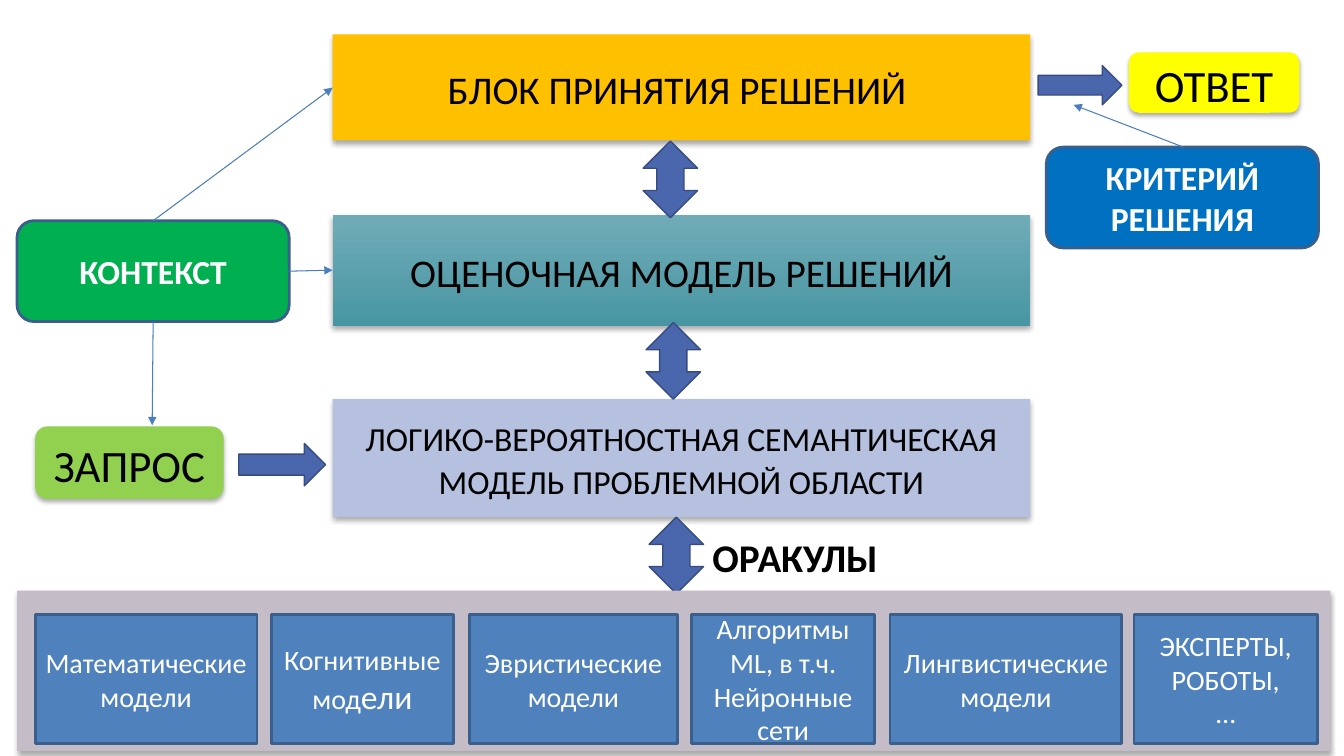
from lxml.etree import SubElement
from pptx import Presentation
from pptx.dml.color import RGBColor
from pptx.enum.shapes import MSO_CONNECTOR, MSO_SHAPE as SHAPE
from pptx.enum.text import MSO_ANCHOR as ANCHOR, MSO_AUTO_SIZE as AUTO, PP_ALIGN as ALIGN
from pptx.oxml import parse_xml
from pptx.oxml.ns import nsdecls, qn
from pptx.util import Pt

COLORS = {
    "black": "000000", "white": "FFFFFF", "orange": "FFC000",
    "teal_top": "70ACB7", "teal_bottom": "4896A3", "lavender": "B5C1DF",
    "lime": "92D050", "yellow": "FFFF00", "green": "00B050",
    "blue": "0070C0", "model": "4F81BD", "model_line": "3A5F8C",
    "arrow": "4A66AC", "arrow_line": "374B7F", "link": "4B7EBC",
    "panel": "C4BCC6",
}
SHADOW = (
    f'<a:effectLst {nsdecls("a")}>'
    '<a:outerShdw blurRad="44450" dist="27940" dir="5400000" rotWithShape="0">'
    '<a:srgbClr val="000000"><a:alpha val="32000"/></a:srgbClr>'
    '</a:outerShdw></a:effectLst>'
)


def rgb(name):
    return RGBColor.from_string(COLORS[name])


class Diagram:
    font = "Calibri"

    def __init__(self, slide):
        self.shapes = slide.shapes

    def style_run(self, r, size, color, bold=False):
        r.font.name = self.font
        r.font.size = Pt(size)
        r.font.bold = bold
        r.font.color.rgb = rgb(color)

    def set_text(self, sp, text, size, color, bold=False, align=ALIGN.CENTER):
        tf = sp.text_frame
        tf.word_wrap = True
        tf.vertical_anchor = ANCHOR.MIDDLE
        tf.text = text
        for p in tf.paragraphs:
            p.alignment = align
            for r in p.runs:
                self.style_run(r, size, color, bold)

    def shape(self, kind, box, fill, line=None, width=1):
        sp = self.shapes.add_shape(kind, *map(Pt, box))
        sp.shadow.inherit = False
        sp.fill.solid()
        sp.fill.fore_color.rgb = rgb(fill)
        if line:
            sp.line.color.rgb = rgb(line)
            sp.line.width = Pt(width)
        else:
            sp.line.fill.background()
        return sp

    def raised(self, kind, box, fill, text=None, size=28):
        sp = self.shape(kind, box, fill)
        props = sp._element.spPr
        props.replace(props.find(qn("a:effectLst")), parse_xml(SHADOW))
        if text:
            self.set_text(sp, text, size, "black")
            p = sp.text_frame.paragraphs[0]
            p.line_spacing = 1.07
            p.space_after = Pt(8)
        return sp

    def outlined(self, kind, box, fill, text, size, bold=False):
        sp = self.shape(kind, box, fill, "model_line", 2)
        self.set_text(sp, text, size, "white", bold)
        return sp

    def block_arrow(self, kind, box):
        self.shape(kind, box, "arrow", "arrow_line")

    def label(self, box, text, size):
        sp = self.shapes.add_textbox(*map(Pt, box))
        self.set_text(sp, text, size, "black", True, ALIGN.LEFT)
        tf = sp.text_frame
        tf.vertical_anchor = ANCHOR.TOP
        tf.word_wrap = False
        tf.auto_size = AUTO.SHAPE_TO_FIT_TEXT

    def link(self, *ends):
        cn = self.shapes.add_connector(MSO_CONNECTOR.STRAIGHT, *map(Pt, ends))
        cn.line.color.rgb = rgb("link")
        cn.line.width = Pt(0.75)
        props = cn._element.spPr
        SubElement(props.find(qn("a:ln")), qn("a:tailEnd"), type="triangle")
        SubElement(props, qn("a:effectLst"))


def main():
    prs = Presentation()
    prs.slide_width, prs.slide_height = Pt(960), Pt(540)
    d = Diagram(prs.slides.add_slide(prs.slide_layouts[6]))

    left, width = 237.6, 498.2
    d.raised(SHAPE.RECTANGLE, (left, 285.2, width, 84.2), "lavender",
             "ЛОГИКО-ВЕРОЯТНОСТНАЯ СЕМАНТИЧЕСКАЯ МОДЕЛЬ ПРОБЛЕМНОЙ ОБЛАСТИ", 24)
    rating = d.raised(SHAPE.RECTANGLE, (left, 153.4, width, 79.2), "teal_top",
                      "ОЦЕНОЧНАЯ МОДЕЛЬ РЕШЕНИЙ")
    rating.fill.gradient()
    rating.fill.gradient_angle = 270
    for stop, color in zip(rating.fill.gradient_stops, ("teal_top", "teal_bottom")):
        stop.color.rgb = rgb(color)
    d.raised(SHAPE.ROUNDED_RECTANGLE, (25.2, 304.6, 134.6, 51.8), "lime", "ЗАПРОС", 32)
    d.raised(SHAPE.ROUNDED_RECTANGLE, (806.4, 37.4, 121.7, 43.2), "yellow", "ОТВЕТ", 32)
    d.raised(SHAPE.RECTANGLE, (left, 24.5, width, 75.6), "orange",
             "БЛОК ПРИНЯТИЯ РЕШЕНИЙ ")

    d.block_arrow(SHAPE.RIGHT_ARROW, (170.6, 316.8, 61.9, 30.2))
    d.block_arrow(SHAPE.RIGHT_ARROW, (741.6, 46.8, 59.8, 28.1))
    for x, y in ((461.5, 230.4), (459.4, 100.8), (463.7, 369.4)):
        d.block_arrow(SHAPE.UP_DOWN_ARROW, (x, y, 38.9, 54.7))

    d.raised(SHAPE.RECTANGLE, (12.2, 421.9, 938.2, 114.5), "panel")
    models = (
        (25.2, 158.4, "Математические модели"),
        (193.7, 130.3, "Когнитивные мод"),
        (335.5, 148.3, "Эвристические модели"),
        (493.9, 131, "Алгоритмы ML, в т.ч. Нейронные сети"),
        (635.8, 165.6, "Лингвистические модели"),
        (810, 131, "ЭКСПЕРТЫ, РОБОТЫ,\n…"),
    )
    boxes = [d.outlined(SHAPE.RECTANGLE, (x, 439, w, 92.2), "model", text, 20)
             for x, w, text in models]
    r = boxes[1].text_frame.paragraphs[0].add_run()
    r.text = "ели"
    d.style_run(r, 24, "white")

    d.label((501.8, 377.3, 133.9, 41), "ОРАКУЛЫ", 28)
    for x, y, fill, text in ((12.2, 157.7, "green", "КОНТЕКСТ"),
                             (747.4, 105.1, "blue", "КРИТЕРИЙ РЕШЕНИЯ")):
        d.outlined(SHAPE.ROUNDED_RECTANGLE, (x, y, 194.4, 72), fill, text, 24, True)

    for ends in ((109.4, 229.7, 108.7, 303.8), (845.3, 105.1, 766.8, 74.9),
                 (206.6, 193.7, left, 193), (109.4, 157.7, left, 62.6)):
        d.link(*ends)

    prs.save("out.pptx")


if __name__ == "__main__":
    main()
